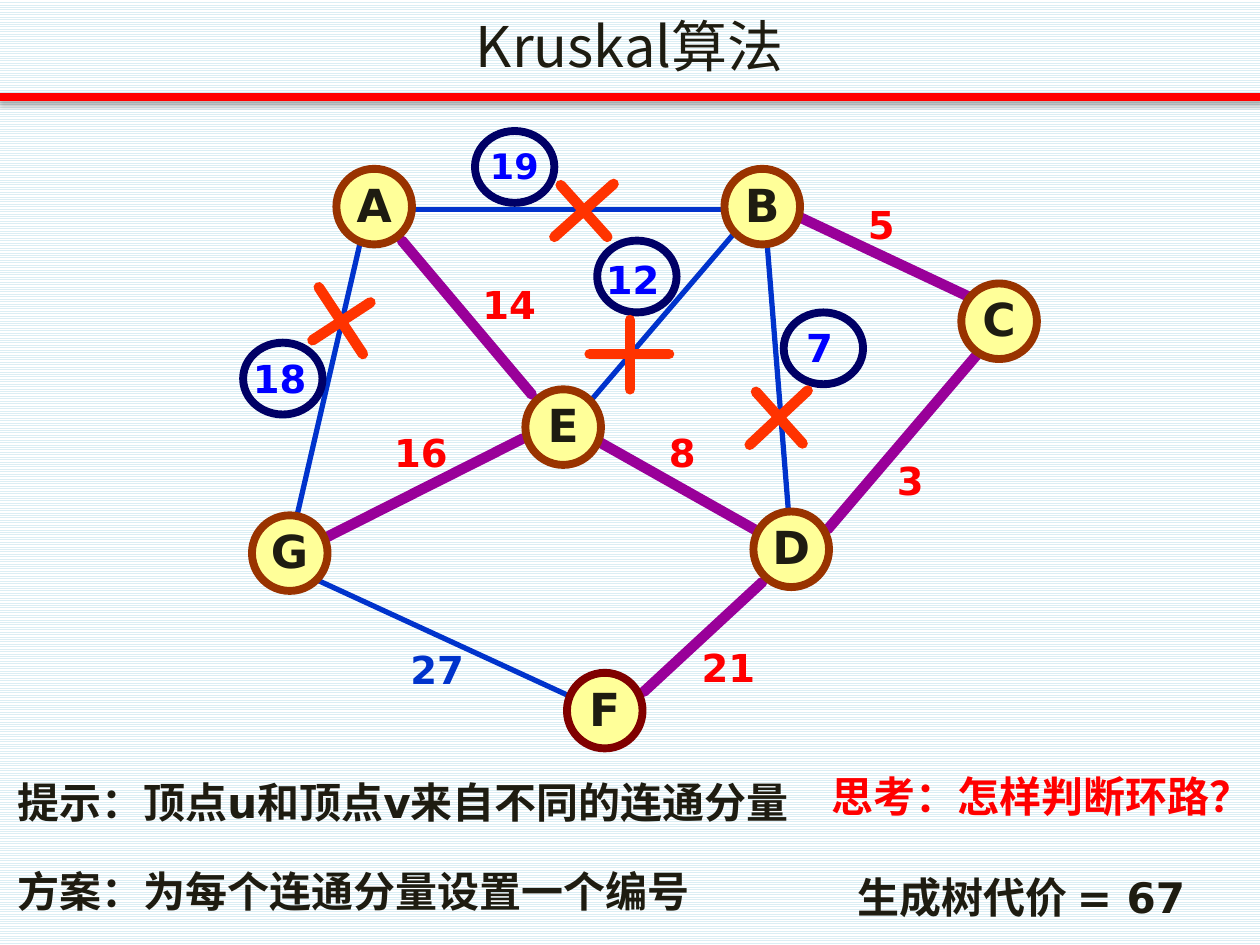
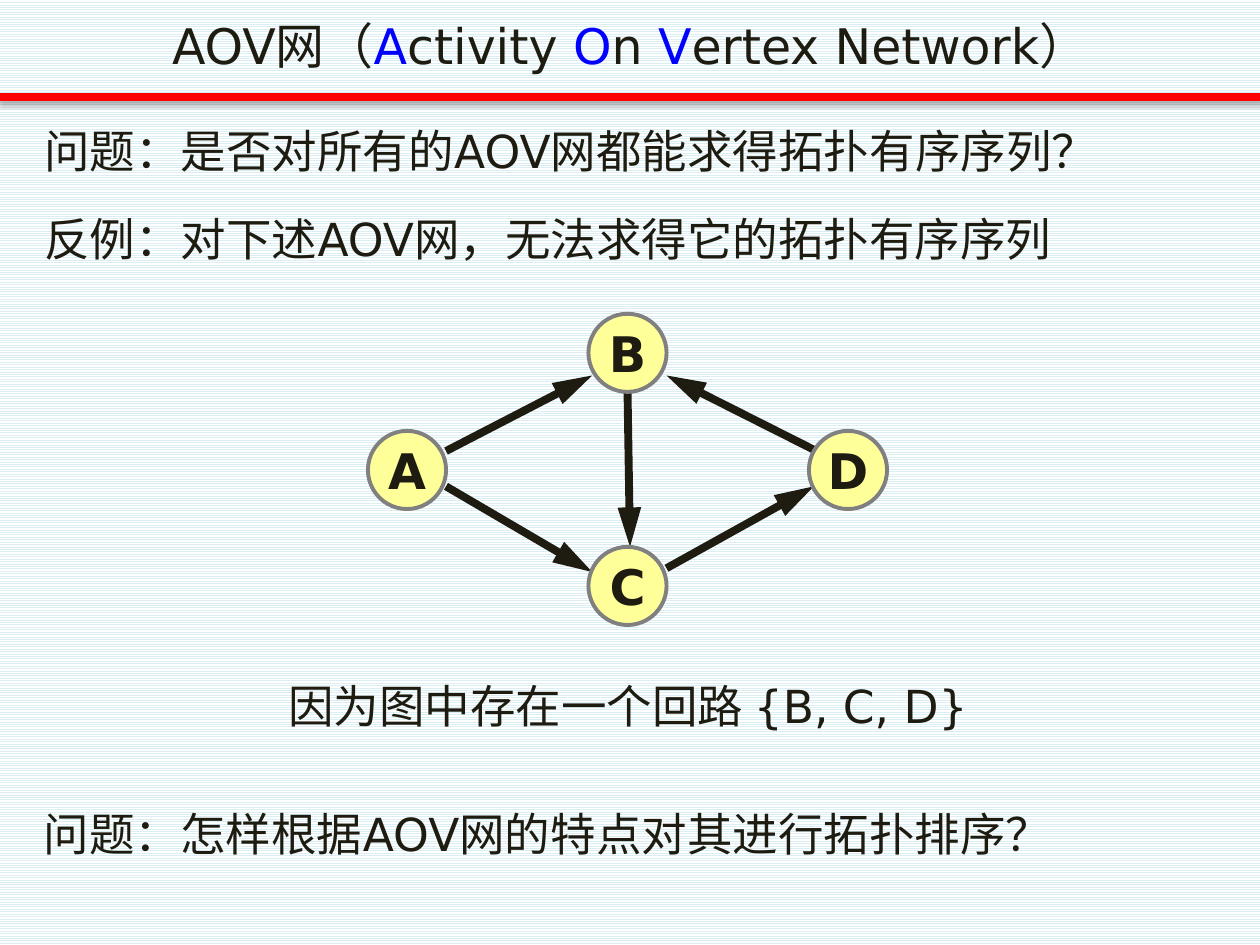
import pptx
import pptx.dml.color
import pptx.enum.dml
import pptx.enum.shapes
import pptx.enum.text
import pptx.oxml
import pptx.oxml.ns
import pptx.util
from lxml import etree
from pptx.dml.color import RGBColor
from pptx.util import Inches, Pt

INK = RGBColor(0x1E, 0x1C, 0x11)
RED = RGBColor(0xFF, 0x00, 0x00)
BLUE = RGBColor(0x00, 0x00, 0xFF)
EDGE_BLUE = RGBColor(0x00, 0x33, 0xCC)
TREE_PURPLE = RGBColor(0x99, 0x00, 0x99)
CROSS_ORANGE = RGBColor(0xFF, 0x33, 0x00)
RING_NAVY = RGBColor(0x00, 0x00, 0x66)
NODE_YELLOW = RGBColor(0xFF, 0xFF, 0x99)
NODE_BROWN = RGBColor(0x99, 0x33, 0x00)
NODE_MAROON = RGBColor(0x80, 0x00, 0x00)
NODE_GREY = RGBColor(0x80, 0x80, 0x80)
STRIPE = RGBColor(0xDB, 0xEE, 0xF4)
WHITE = RGBColor(0xFF, 0xFF, 0xFF)

LATIN_FONT = "DejaVu Sans"
CHINESE_FONT = "Noto Sans CJK SC"
LEFT = pptx.enum.text.PP_ALIGN.LEFT
CENTER = pptx.enum.text.PP_ALIGN.CENTER
MIDDLE = pptx.enum.text.MSO_ANCHOR.MIDDLE
TOP = pptx.enum.text.MSO_ANCHOR.TOP

# Slide 1: lines are (x1, y1, x2, y2); nodes, labels and rings are (left, top)
KRUSKAL_TITLE = [("Kruskal算法", INK)]
KRUSKAL_NODES = {
    "A": (2.67, 1.34), "B": (5.75, 1.34), "C": (7.63, 2.25), "D": (5.98, 4.06),
    "E": (4.17, 3.09), "F": (4.5, 5.34), "G": (2, 4.09),
}
TREE_EDGES = [  # weight, label, line
    ("14", (3.73, 2.18), (3.19, 1.91, 4.22, 3.13)),
    ("8", (5.21, 3.36), (4.76, 3.51, 6.02, 4.22)),
    ("3", (7.02, 3.58), (7.75, 2.82, 6.57, 4.2)),
    ("5", (6.79, 1.55), (6.36, 1.73, 7.7, 2.36)),
    ("16", (3.03, 3.36), (2.58, 4.27, 4.15, 3.48)),
    ("21", (5.47, 5.06), (6.05, 4.62, 5.11, 5.49)),
]
UNUSED_EDGE = ("27", (3.16, 5.08), (2.51, 4.6, 4.51, 5.52))
REJECTED_EDGES = [  # weight, size, label, line, ring, strokes of the cross
    ("19", 20, (3.79, 1.1), (3.26, 1.66, 5.74, 1.66), (3.77, 1.04),
     [(4.82, 1.88, 4.45, 1.47), (4.87, 1.46, 4.4, 1.88)]),
    ("12", 22, (4.71, 1.98), (5.82, 1.86, 4.68, 3.19), (4.74, 1.91),
     [(5, 2.54, 5, 3.09), (4.68, 2.81, 5.31, 2.81)]),
    ("7", 22, (6.3, 2.52), (6.09, 1.95, 6.26, 4.09), (6.22, 2.48),
     [(6, 3.11, 6.37, 3.52), (5.95, 3.53, 6.41, 3.1)]),
    ("18", 22, (1.91, 2.77), (2.86, 1.92, 2.36, 4.08), (1.93, 2.72),
     [(2.94, 2.4, 2.48, 2.7), (2.53, 2.28, 2.88, 2.81)]),
]
KRUSKAL_NOTES = [  # text, box, colour, alignment, wrap, line spacing
    ("生成树代价 = 67", (6.35, 6.67, 3.51, 0.68), INK, CENTER, True, 1.5),
    ("提示：顶点u和顶点v来自不同的连通分量", (0.04, 6.11, 6.75, 0.63), INK, LEFT, True, 1),
    ("思考：怎样判断环路？", (6.42, 6.07, 3.69, 0.63), RED, CENTER, False, 1),
    ("方案：为每个连通分量设置一个编号", (0.04, 6.82, 6.75, 0.63), INK, LEFT, True, 1),
]

# Slide 2
AOV_TITLE = [("AOV网（", INK), ("A", BLUE), ("ctivity ", INK), ("O", BLUE),
             ("n ", INK), ("V", BLUE), ("ertex Network）", INK)]
AOV_STATEMENTS = ["问题：是否对所有的AOV网都能求得拓扑有序序列？",
                  "反例：对下述AOV网，无法求得它的拓扑有序序列"]
AOV_REASON = "因为图中存在一个回路 {B, C, D}"
AOV_QUESTION = "问题：怎样根据AOV网的特点对其进行拓扑排序？"
AOV_NODES = {"A": (2.92, 3.42), "B": (4.67, 2.49), "C": (4.67, 4.34), "D": (6.42, 3.42)}
AOV_ARROWS = [(3.54, 3.58, 4.7, 2.98), (3.54, 3.86, 4.7, 4.54), (5.29, 4.51, 6.46, 3.86),
              (6.46, 3.57, 5.29, 2.98), (4.98, 3.08, 5, 4.34)]


def format_run(run, size, color, bold=False, latin=LATIN_FONT):
    font = run.font
    font.size, font.bold, font.name = Pt(size), bold, latin
    font.color.rgb = color
    east_asian = etree.SubElement(run._r.get_or_add_rPr(), pptx.oxml.ns.qn("a:ea"))
    east_asian.set("typeface", CHINESE_FONT)


def place(shape, box):
    shape.left, shape.top, shape.width, shape.height = map(Inches, box)


def add_line(shapes, ends, color, width, rounded=False, arrow=False):
    line = shapes.add_connector(pptx.enum.shapes.MSO_CONNECTOR.STRAIGHT, *map(Inches, ends))
    line.line.color.rgb = color
    line.line.width = Pt(width)
    outline = line.line._get_or_add_ln()
    if rounded:
        outline.set("cap", "rnd")
    if arrow:
        etree.SubElement(outline, pptx.oxml.ns.qn("a:tailEnd"), type="triangle", len="lg")
    etree.SubElement(line._element.spPr, pptx.oxml.ns.qn("a:effectLst"))
    return line


def add_text(slide, text, box, size, color, bold=False, align=LEFT, wrap=True, spacing=1):
    shape = slide.shapes.add_textbox(*map(Inches, box))
    frame = shape.text_frame
    frame.word_wrap = wrap
    frame.text = text
    paragraph = frame.paragraphs[0]
    paragraph.alignment = align
    if spacing != 1:
        paragraph.line_spacing = spacing
    format_run(paragraph.runs[0], size, color, bold)


def add_oval(shapes, box, line_color, line_width, fill=None):
    oval = shapes.add_shape(pptx.enum.shapes.MSO_SHAPE.OVAL, *map(Inches, box))
    oval.shadow.inherit = False
    if fill is None:
        oval.fill.background()
    else:
        oval.fill.solid()
        oval.fill.fore_color.rgb = fill
    oval.line.color.rgb = line_color
    oval.line.width = Pt(line_width)
    return oval


def add_node(shapes, name, corner, diameter, size, line_color, line_width, insets):
    """Draw a lettered vertex; insets are (top, bottom) in inches."""
    node = add_oval(shapes, (*corner, diameter, diameter), line_color, line_width, NODE_YELLOW)
    frame = node.text_frame
    frame.margin_top, frame.margin_bottom = map(Inches, insets)
    frame.word_wrap = False
    frame.vertical_anchor = MIDDLE
    frame.text = name
    frame.paragraphs[0].alignment = CENTER
    format_run(frame.paragraphs[0].runs[0], size, INK, True)


def add_weight(slide, weight, corner, color, size=22):
    width = 0.64 if len(weight) > 1 else 0.42
    add_text(slide, weight, (*corner, width, 0.47), size, color, bold=True, wrap=False)


def add_slide(presentation, layout_index, title_runs, size, latin):
    """Add a slide with its title and the shadowed red rule below it."""
    slide = presentation.slides.add_slide(presentation.slide_layouts[layout_index])
    rule = add_line(slide.shapes, (-0.01, 0.77, 10.01, 0.77), RED, 4.5)
    effects = rule._element.spPr.find(pptx.oxml.ns.qn("a:effectLst"))
    shadow = etree.SubElement(effects, pptx.oxml.ns.qn("a:outerShdw"), blurRad=str(Pt(3.1)),
                              dist=str(Pt(1.8)), dir="5400000", rotWithShape="0")
    shade = etree.SubElement(shadow, pptx.oxml.ns.qn("a:srgbClr"), val="000000")
    etree.SubElement(shade, pptx.oxml.ns.qn("a:alpha"), val="35000")

    title = slide.shapes.title
    place(title, (0, 0.02, 10, 0.68))
    frame = title.text_frame
    frame.auto_size = pptx.enum.text.MSO_AUTO_SIZE.NONE
    frame.vertical_anchor = MIDDLE
    paragraph = frame.paragraphs[0]
    paragraph.alignment = CENTER
    for text, color in title_runs:
        run = paragraph.add_run()
        run.text = text
        format_run(run, size, color, latin=latin)
    return slide


def build_kruskal(presentation):
    slide = add_slide(presentation, 5, KRUSKAL_TITLE, 32, CHINESE_FONT)
    shapes = slide.shapes
    for _, _, _, ends, _, _ in REJECTED_EDGES:
        add_line(shapes, ends, EDGE_BLUE, 3)
    weight, label, ends = UNUSED_EDGE
    add_line(shapes, ends, EDGE_BLUE, 3)
    add_weight(slide, weight, label, EDGE_BLUE)
    for weight, label, ends in TREE_EDGES:
        add_line(shapes, ends, TREE_PURPLE, 6, rounded=True)
        add_weight(slide, weight, label, RED)
    for name, corner in KRUSKAL_NODES.items():
        outline = NODE_MAROON if name == "F" else NODE_BROWN
        add_node(shapes, name, corner, 0.6, 26, outline, 4.5, (0, 0.04))
    for weight, size, label, _, ring, strokes in REJECTED_EDGES:
        add_weight(slide, weight, label, BLUE, size)
        add_oval(shapes, (*ring, 0.63, 0.57), RING_NAVY, 4.5)
        cross = shapes.add_group_shape()
        for stroke in strokes:
            add_line(cross.shapes, stroke, CROSS_ORANGE, 6, rounded=True)
    for text, box, color, align, wrap, spacing in KRUSKAL_NOTES:
        add_text(slide, text, box, 24, color, True, align, wrap, spacing)


def build_aov(presentation):
    slide = add_slide(presentation, 1, AOV_TITLE, 28, LATIN_FONT)
    body = slide.placeholders[1]
    place(body, (0.25, 0.93, 9.49, 1.4))
    frame = body.text_frame
    frame.auto_size = pptx.enum.text.MSO_AUTO_SIZE.NONE
    frame.vertical_anchor = TOP
    frame.text = "\n".join(AOV_STATEMENTS)
    for index, paragraph in enumerate(frame.paragraphs):
        properties = paragraph._p.get_or_add_pPr()
        properties.set("marL", "0")
        properties.set("indent", "0")
        etree.SubElement(properties, pptx.oxml.ns.qn("a:buNone"))
        paragraph.space_before = Pt(19 if index else 0)
        format_run(paragraph.runs[0], 26, INK)

    graph = slide.shapes.add_group_shape()
    for ends in AOV_ARROWS:
        add_line(graph.shapes, ends, INK, 4.5, arrow=True)
    for name, corner in AOV_NODES.items():
        add_node(graph.shapes, name, corner, 0.62, 28, NODE_GREY, 2.25, (0.05, 0.05))
    add_text(slide, AOV_REASON, (0.95, 5.33, 8.07, 0.63), 26, INK, align=CENTER)
    add_text(slide, AOV_QUESTION, (0.25, 6.35, 9.49, 0.7), 26, INK)


def main():
    presentation = pptx.Presentation()
    presentation.slide_width, presentation.slide_height = Inches(10), Inches(7.5)
    background = presentation.slide_master.background.fill
    background.patterned()
    background.pattern = pptx.enum.dml.MSO_PATTERN.LIGHT_HORIZONTAL
    background.fore_color.rgb = STRIPE
    background.back_color.rgb = WHITE
    build_kruskal(presentation)
    build_aov(presentation)
    presentation.save("out.pptx")


if __name__ == "__main__":
    main()
